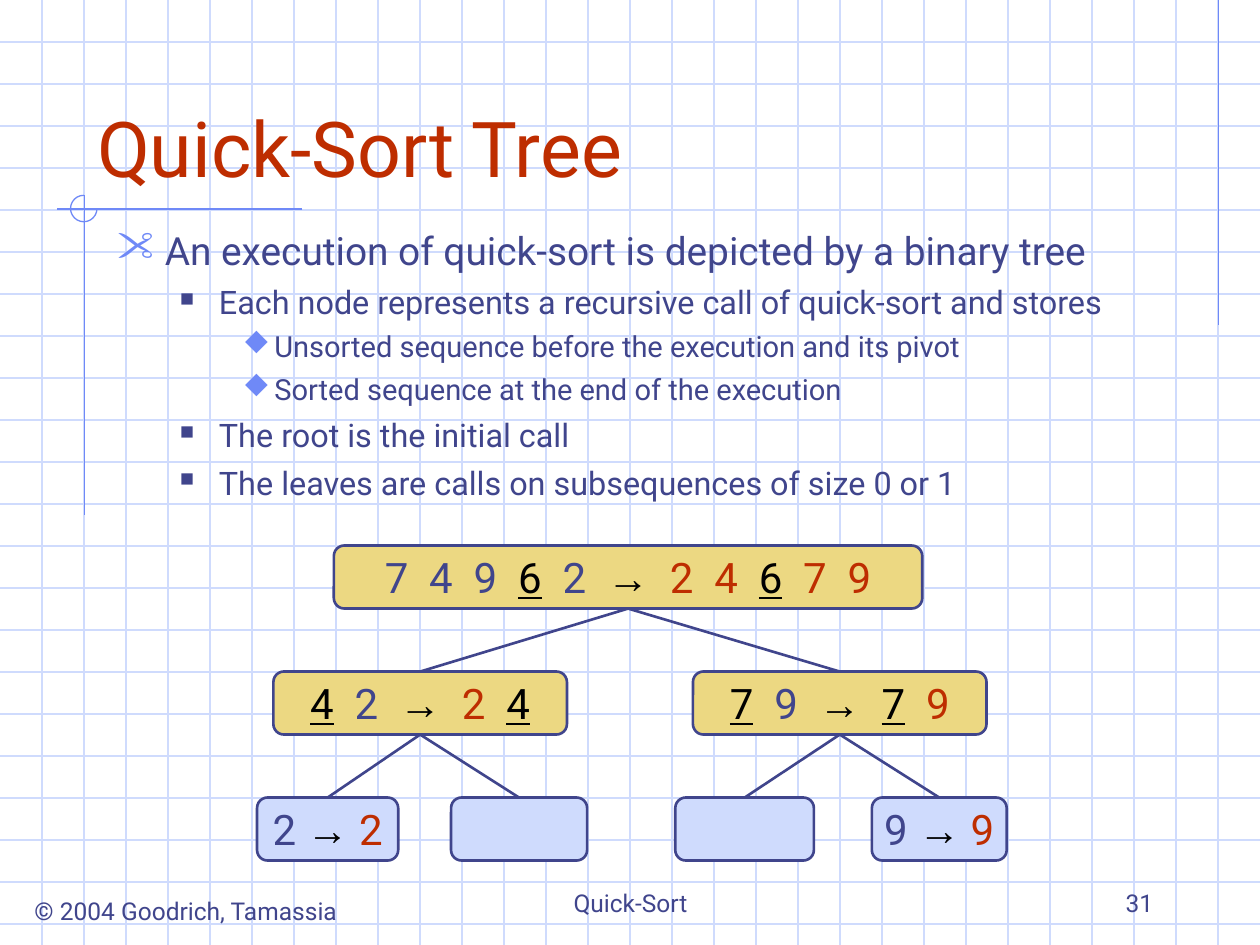
from lxml.etree import SubElement
from pptx import Presentation
from pptx.dml.color import RGBColor
from pptx.enum.shapes import MSO_CONNECTOR, MSO_SHAPE
from pptx.enum.text import MSO_ANCHOR, PP_ALIGN
from pptx.oxml.ns import qn
from pptx.util import Inches, Pt

THEME = {
    "font": "Roboto", "arrow_font": "Arial", "bullet_font": "Wingdings",
    "ink": "40458C", "red": "BE2D00", "black": "000000",
    "grid": "CFDBFD", "accent": "6F89F7",
    "inner": "ECD882", "leaf": "CFDBFD",
    "title": 44, "node": 24, "footer": 14,
    "thin": 0.75, "thick": 1.5,
}
WIDTH, HEIGHT, GRID_STEP = 10, 7.5, 1 / 3

TITLE = "Quick-Sort Tree"
BULLETS = [  # level, text
    (0, "An execution of quick-sort is depicted by a binary tree"),
    (1, "Each node represents a recursive call of quick-sort and stores"),
    (2, "Unsorted sequence before the execution and its pivot"),
    (2, "Sorted sequence at the end of the execution"),
    (1, "The root is the initial call"),
    (1, "The leaves are calls on subsequences of size 0 or 1"),
]
# Marks are keys of the bullet font: scissors, square, diamond
LEVELS = [  # text size, text indent, hanging, space before, mark, colour, percent
    (22.2, 0.38, 0.38, 6, '"', "accent", 110),
    (18.5, 0.81, 0.31, 5, "n", "ink", 60),
    (16.6, 1.25, 0.25, 4.5, "u", "accent", 95),
]
FOOTERS = [  # text, left, top, width, height, alignment, anchor
    ("© 2004 Goodrich, Tamassia", 0.12, 7.06, 2.71, 0.34, PP_ALIGN.CENTER, MSO_ANCHOR.TOP),
    ("Quick-Sort", 3.42, 6.83, 3.17, 0.5, PP_ALIGN.CENTER, MSO_ANCHOR.BOTTOM),
    ("31", 7.17, 6.83, 2.08, 0.5, PP_ALIGN.RIGHT, MSO_ANCHOR.BOTTOM),
]
NODES = {  # name: parent, depth, left, width, unsorted, pivot, sorted
    "root": (None, 0, 2.65, 4.67, "74962", "6", "24679"),
    "low": ("root", 1, 2.17, 2.33, "42", "4", "24"),
    "high": ("root", 1, 5.5, 2.33, "79", "7", "79"),
    "low left": ("low", 2, 2.04, 1.12, "2", None, "2"),
    "low right": ("low", 2, 3.58, 1.08, "", None, ""),
    "high left": ("high", 2, 5.36, 1.1, "", None, ""),
    "high right": ("high", 2, 6.92, 1.07, "9", None, "9"),
}
TREE_TOP, ROW_STEP, NODE_HEIGHT, LEAF_DEPTH = 4.33, 1, 0.5, 2
WIDE_GAP = 594  # extra width of a gap, in hundredths of a point


def color(name):
    return RGBColor.from_string(THEME[name])


def add_span(para, text, size, tone="ink", font="font", bold=False, underline=False, gap=0):
    span = para.add_run()
    span.text = text
    span.font.name = THEME[font]
    span.font.size = Pt(size)
    span.font.bold = bold
    span.font.underline = underline
    span.font.color.rgb = color(tone)
    if gap:
        span.font._element.set("spc", str(gap))


def add_line(shapes, start, end, tone, weight):
    line = shapes.add_connector(MSO_CONNECTOR.STRAIGHT, *map(Inches, start + end))
    line.line.color.rgb = color(tone)
    line.line.width = Pt(THEME[weight])
    SubElement(line._element.spPr, qn("a:effectLst"))
    return line


def add_bullet(para, level):
    size, indent, hanging, before, mark, tone, percent = LEVELS[level]
    props = para._p.get_or_add_pPr()
    props.set("marL", str(Inches(indent)))
    props.set("indent", str(-Inches(hanging)))
    if level:
        props.set("lvl", str(level))
    SubElement(SubElement(props, qn("a:buClr")), qn("a:srgbClr"), val=THEME[tone])
    SubElement(props, qn("a:buSzPct"), val=str(percent * 1000))
    SubElement(props, qn("a:buFont"), typeface=THEME["bullet_font"], pitchFamily="2", charset="2")
    SubElement(props, qn("a:buChar"), char=mark)
    if para._p.getprevious().tag == qn("a:p"):
        para.space_before = Pt(before)
    return size


def write_sequence(para, unsorted, pivot, ordered):
    tokens = [(digit, "ink") for digit in unsorted] + [("→", "black")]
    tokens += [(digit, "red") for digit in ordered]
    gap = WIDE_GAP if pivot else 0
    for index, (text, tone) in enumerate(tokens):
        if index:
            add_span(para, " ", THEME["node"], gap=gap)
        arrow, chosen = text == "→", text == pivot
        add_span(para, text, THEME["node"], tone="black" if chosen else tone,
                 font="arrow_font" if arrow else "font", bold=arrow, underline=chosen)


def draw_background(page):
    grid = page.shapes.add_group_shape().shapes
    for row in range(1, 23):
        add_line(grid, (0, row * GRID_STEP), (WIDTH, row * GRID_STEP), "grid", "thin")
    for column in range(1, 30):
        add_line(grid, (column * GRID_STEP, 0), (column * GRID_STEP, HEIGHT), "grid", "thin")

    # Accent lines and the open circle where they cross
    for start, end in [((9.67, 0), (9.67, 2.58)), ((2.4, 1.66), (0.45, 1.66)),
                       ((0.67, 1.55), (0.67, 4.09))]:
        add_line(page.shapes, start, end, "accent", "thin")
    arc = page.shapes.add_shape(MSO_SHAPE.ARC, *map(Inches, (0.56, 1.55, 0.21, 0.21)))
    arc.shadow.inherit = False
    arc.adjustments[0], arc.adjustments[1] = 0, 162  # right round to top
    arc.fill.background()
    arc.line.color.rgb = color("accent")
    arc.line.width = Pt(THEME["thin"])


def draw_text(page):
    # Title, brought in front of the grid
    title = page.shapes.title
    page.shapes._spTree.append(title._element)
    title.left, title.top, title.width, title.height = map(Inches, (0.67, 0.33, 8.5, 1.25))
    title.text_frame.vertical_anchor = MSO_ANCHOR.BOTTOM
    para = title.text_frame.paragraphs[0]
    para.alignment = PP_ALIGN.LEFT
    add_span(para, TITLE, THEME["title"], tone="red")

    # Bullets
    frame = page.shapes.add_textbox(*map(Inches, (0.83, 1.75, 8.67, 2.5))).text_frame
    frame.word_wrap = True
    for index, (level, text) in enumerate(BULLETS):
        para = frame.add_paragraph() if index else frame.paragraphs[0]
        add_span(para, text, add_bullet(para, level))

    # Footers
    for text, left, top, width, height, alignment, anchor in FOOTERS:
        frame = page.shapes.add_textbox(*map(Inches, (left, top, width, height))).text_frame
        frame.word_wrap = True
        frame.vertical_anchor = anchor
        frame.paragraphs[0].alignment = alignment
        add_span(frame.paragraphs[0], text, THEME["footer"])


def draw_tree(page):
    boxes = {}
    for name, (parent, depth, left, width, unsorted, pivot, ordered) in NODES.items():
        top = TREE_TOP + depth * ROW_STEP
        box = page.shapes.add_shape(MSO_SHAPE.ROUNDED_RECTANGLE,
                                    *map(Inches, (left, top, width, NODE_HEIGHT)))
        box.shadow.inherit = False
        box.fill.solid()
        box.fill.fore_color.rgb = color("leaf" if depth == LEAF_DEPTH else "inner")
        box.line.color.rgb = color("ink")
        box.line.width = Pt(THEME["thick"])
        boxes[name] = box
        if unsorted:
            box.text_frame.word_wrap = False
            box.text_frame.vertical_anchor = MSO_ANCHOR.MIDDLE
            para = box.text_frame.paragraphs[0]
            para.alignment = PP_ALIGN.CENTER
            write_sequence(para, unsorted, pivot, ordered)
        if parent:
            edge = add_line(page.shapes, (0, 0), (1, 1), "ink", "thick")
            edge.begin_connect(boxes[parent], 2)
            edge.end_connect(box, 0)


def main():
    deck = Presentation()
    deck.slide_width, deck.slide_height = Inches(WIDTH), Inches(HEIGHT)
    page = deck.slides.add_slide(deck.slide_layouts[5])
    draw_background(page)
    draw_text(page)
    draw_tree(page)
    deck.save("out.pptx")


if __name__ == "__main__":
    main()
